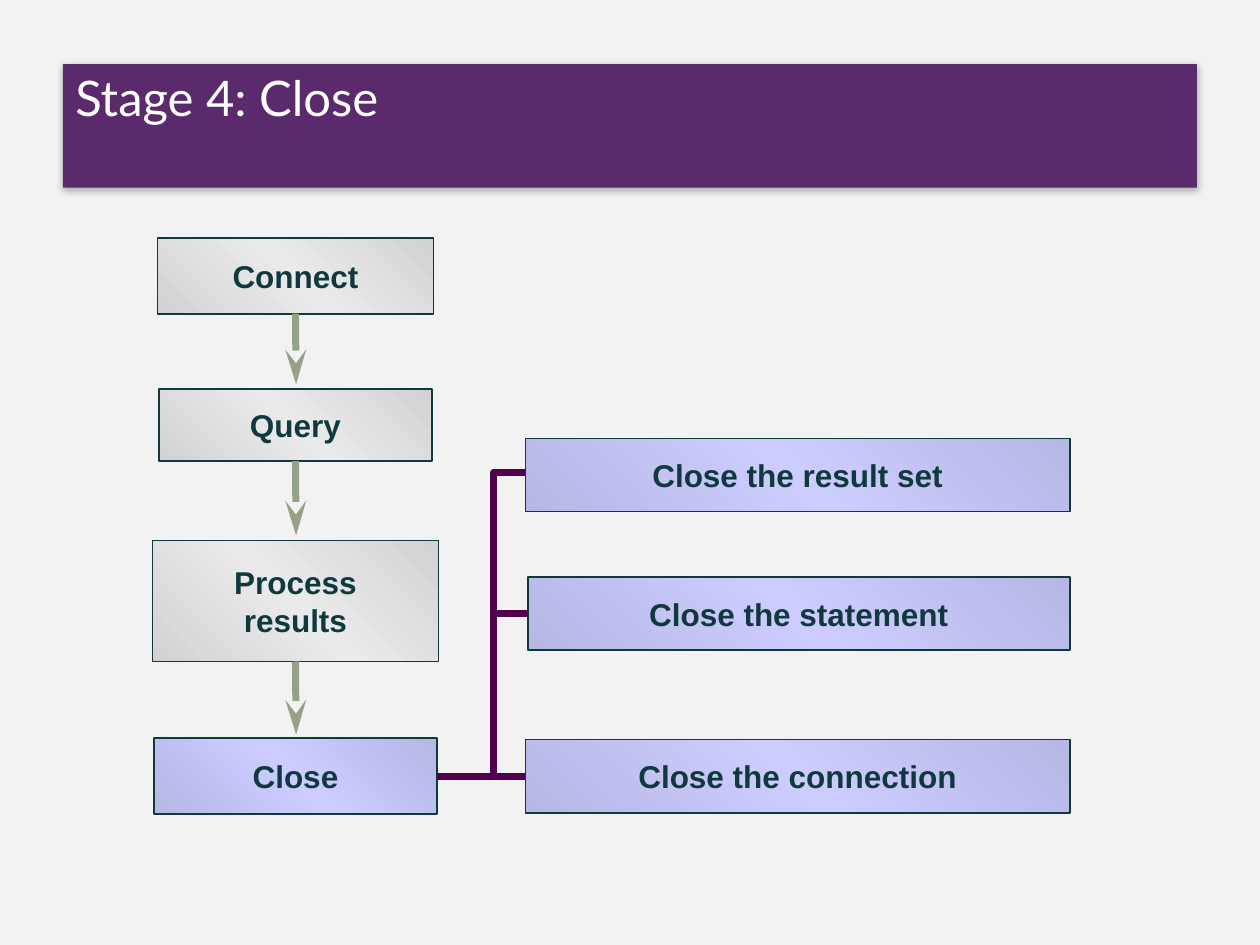
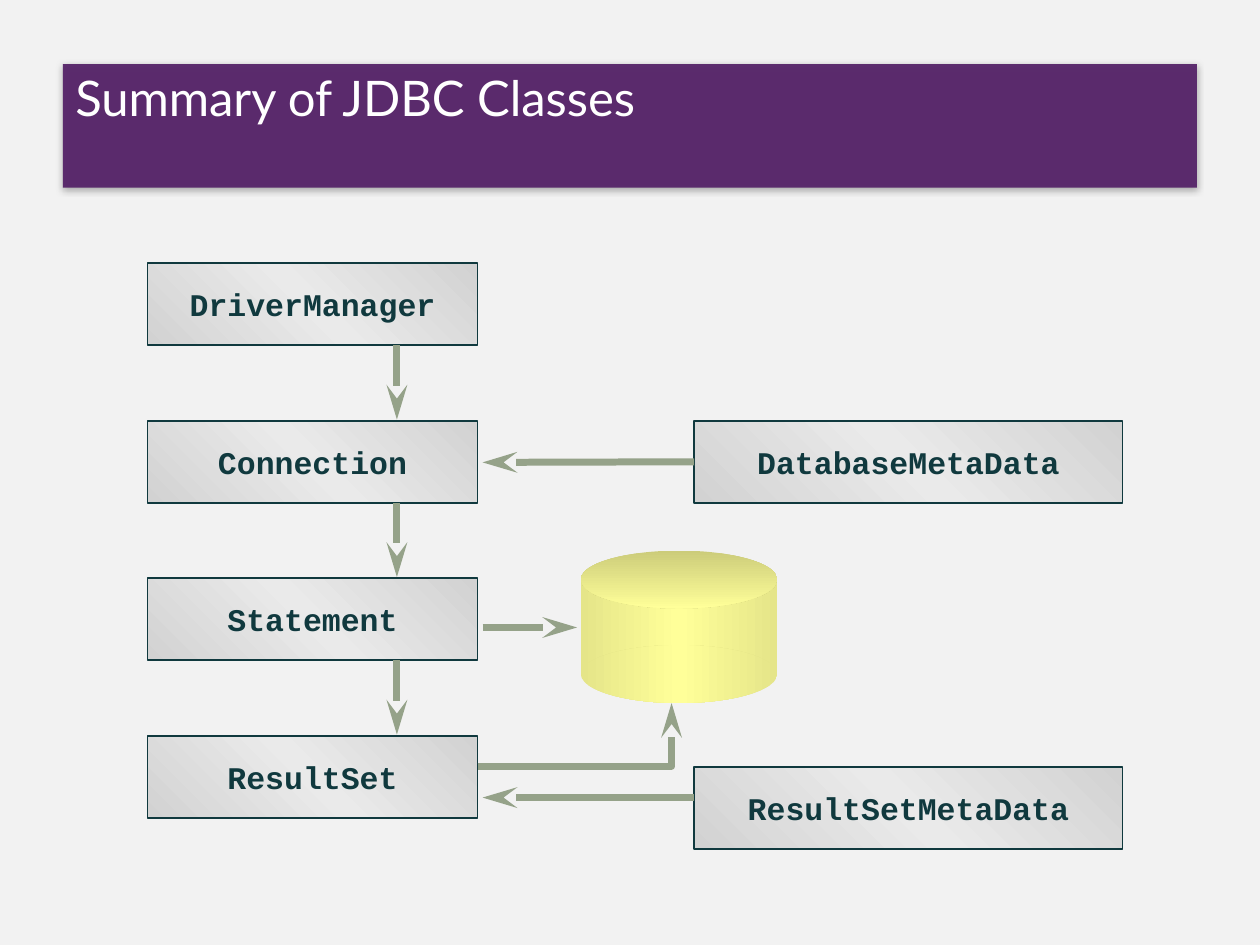
from dataclasses import dataclass
from lxml import etree
from pptx import Presentation
from pptx.dml.color import RGBColor
from pptx.enum.shapes import MSO_CONNECTOR, MSO_SHAPE
from pptx.enum.text import MSO_ANCHOR, PP_ALIGN
from pptx.oxml.ns import qn
from pptx.util import Inches, Pt

RECT = MSO_SHAPE.RECTANGLE
OVAL = MSO_SHAPE.OVAL
LINE = MSO_CONNECTOR.STRAIGHT
TOP, MIDDLE = MSO_ANCHOR.TOP, MSO_ANCHOR.MIDDLE
LEFT, CENTER = PP_ALIGN.LEFT, PP_ALIGN.CENTER
LEFT_SIDE, BOTTOM, RIGHT_SIDE = 1, 2, 3


@dataclass(frozen=True)
class Theme:
    page: str = "F2F2F2"
    band: str = "562469"
    white: str = "FFFFFF"
    ink: str = "10393E"
    arrow: str = "95A289"
    link: str = "51004B"
    gray: tuple = ("D2D2D2", "EAEAEA", "D2D2D2")
    blue: tuple = ("B7B7E5", "CCCCFF", "B7B7E5")
    side: tuple = ("E5E589", "FFFF99", "E5E589")
    lid: tuple = ("CCCC7A", "FFFF99")
    title: int = 28
    label: int = 18
    thick: int = 4
    head: str = "Lato"
    body: str = "Arial"
    code: str = "Courier New"


def color(code):
    return RGBColor.from_string(code)


def add(parent, tag, **attrs):
    return etree.SubElement(parent, qn(tag), attrs)


class Deck:
    def __init__(self, theme):
        self.theme = theme
        self.show = Presentation()
        self.show.slide_width = Inches(10)
        self.show.slide_height = Inches(7.5)

    def page(self, title):
        self.slide = self.show.slides.add_slide(self.show.slide_layouts[6])
        fill = self.slide.background.fill
        fill.solid()
        fill.fore_color.rgb = color(self.theme.page)
        self.title(title)

    def shape(self, kind, at, host=None):
        shape = (host or self.slide).shapes.add_shape(kind, *map(Inches, at))
        shape.shadow.inherit = False
        shape.line.fill.background()
        return shape

    def text(self, shape, text, font, size, ink, align, anchor):
        frame = shape.text_frame
        frame.vertical_anchor = anchor
        para = frame.paragraphs[0]
        para.text = text
        para.alignment = align
        para.font.name = font
        para.font.size = Pt(size)
        para.font.color.rgb = color(ink)
        return para

    def title(self, text):
        theme = self.theme
        band = self.shape(RECT, (0.5, 0.51, 9, 0.98))
        band.fill.solid()
        band.fill.fore_color.rgb = color(theme.band)
        props = band._element.spPr
        add(props.find(qn("a:solidFill"))[0], "a:alpha", val="95000")
        glow = add(props.find(qn("a:effectLst")), "a:outerShdw", blurRad="50800", dist="12700", dir="5400000")
        add(add(glow, "a:srgbClr", val="000000"), "a:alpha", val="30000")
        para = self.text(band, text, theme.head, theme.title, theme.white, LEFT, TOP)
        para.line_spacing = 1.05
        band.text_frame.margin_top = 0
        band.text_frame.word_wrap = True

    def blend(self, shape, tones, angle):
        shape.fill.gradient()
        shape.fill.gradient_angle = -angle % 360
        stops = shape._element.spPr.find(qn("a:gradFill")).find(qn("a:gsLst"))
        stops.clear()
        for i, tone in enumerate(tones):
            stop = add(stops, "a:gs", pos=str(100000 * i // (len(tones) - 1)))
            add(stop, "a:srgbClr", val=tone)

    def box(self, text, at, tones, font):
        theme = self.theme
        box = self.shape(RECT, at)
        self.blend(box, tones, 315)
        box.line.color.rgb = color(theme.ink)
        box.line.width = Pt(1)
        para = self.text(box, text, font, theme.label, theme.ink, CENTER, MIDDLE)
        para.font.bold = True
        box.text_frame.word_wrap = False
        return box

    def stroke(self, item, tone, tip):
        item.line.color.rgb = color(tone)
        item.line.width = Pt(self.theme.thick)
        line = item._element.spPr.find(qn("a:ln"))
        add(line, "a:round")
        if tip:
            add(line, "a:tailEnd", type="stealth", w="med", len="lg")

    def link(self, start, end, tone, tip=False, begin=None, stop=None):
        line = self.slide.shapes.add_connector(LINE, *map(Inches, start + end))
        self.stroke(line, tone, tip)
        add(line._element.spPr, "a:effectLst")
        if begin:
            line.begin_connect(*begin)
        if stop:
            line.end_connect(*stop)

    def arrow(self, start, end, begin=None):
        self.link(start, end, self.theme.arrow, True, begin)

    def bend(self, points, tone, tip=False):
        first, *rest = [tuple(map(Inches, point)) for point in points]
        build = self.slide.shapes.build_freeform(*first)
        build.add_line_segments(rest, close=False)
        shape = build.convert_to_shape()
        shape.fill.background()
        shape.shadow.inherit = False
        self.stroke(shape, tone, tip)

    def drum(self, left, top, width, height, cap):
        group = self.slide.shapes.add_group_shape()
        parts = (
            (RECT, top + cap / 2, height - cap, self.theme.side, 0),
            (OVAL, top, cap, self.theme.lid, 90),
            (OVAL, top + height - cap, cap, self.theme.side, 0),
        )
        for kind, y, tall, tones, angle in parts:
            part = self.shape(kind, (left, y, width, tall), group)
            self.blend(part, tones, angle)


def close_stage(deck):
    theme = deck.theme
    deck.page("Stage 4: Close")
    deck.bend([(3.92, 6.16), (3.92, 3.75), (4.5, 3.75)], theme.link)
    stages = (
        ("Connect", (1.25, 1.89, 2.19, 0.6), theme.gray),
        ("Query", (1.26, 3.09, 2.17, 0.57), theme.gray),
        ("Process\vresults", (1.21, 4.29, 2.27, 0.96), theme.gray),
        ("Close", (1.22, 5.86, 2.25, 0.6), theme.blue),
    )
    boxes = [deck.box(*stage, theme.body) for stage in stages]
    for box, (_, at, _), tip in zip(boxes, stages, (3.05, 4.25, 5.83)):
        deck.arrow((2.35, at[1] + at[3]), (2.35, tip), (box, BOTTOM))
    steps = (
        ("Close the result set", 4.17, 3.48),
        ("Close the statement", 4.19, 4.58),
        ("Close the connection", 4.17, 5.87),
    )
    _, state, conn = [
        deck.box(text, (x, y, 8.49 - x, 0.58), theme.blue, theme.body)
        for text, x, y in steps
    ]
    deck.link((3.92, 4.87), (4.19, 4.87), theme.link, stop=(state, LEFT_SIDE))
    deck.link((3.47, 6.16), (4.17, 6.16), theme.link,
              begin=(boxes[-1], RIGHT_SIDE), stop=(conn, LEFT_SIDE))


def class_map(deck):
    theme = deck.theme
    top, step, tall = 2.09, 1.25, 0.65
    deck.page("Summary of JDBC Classes")
    names = ("DriverManager", "Connection", "Statement", "ResultSet")
    for i, name in enumerate(names):
        y = top + i * step
        deck.box(name, (1.17, y, 2.62, tall), theme.gray, theme.code)
        if i:
            deck.arrow((3.15, y - step + tall), (3.15, y - 0.01))
    data, _ = [
        deck.box(name, (5.51, y, 3.4, tall), theme.gray, theme.code)
        for name, y in (("DatabaseMetaData", 3.34), ("ResultSetMetaData", 6.09))
    ]
    deck.arrow((5.51, 3.67), (3.83, 3.67), (data, LEFT_SIDE))
    deck.arrow((5.51, 6.33), (3.83, 6.33))
    deck.arrow((3.83, 4.98), (4.58, 4.98))
    deck.drum(4.61, 4.37, 1.56, 1.21, 0.46)
    deck.bend([(3.79, 6.08), (5.33, 6.08), (5.33, 5.58)], theme.arrow, True)


def main():
    deck = Deck(Theme())
    close_stage(deck)
    class_map(deck)
    deck.show.save("out.pptx")


if __name__ == "__main__":
    main()
